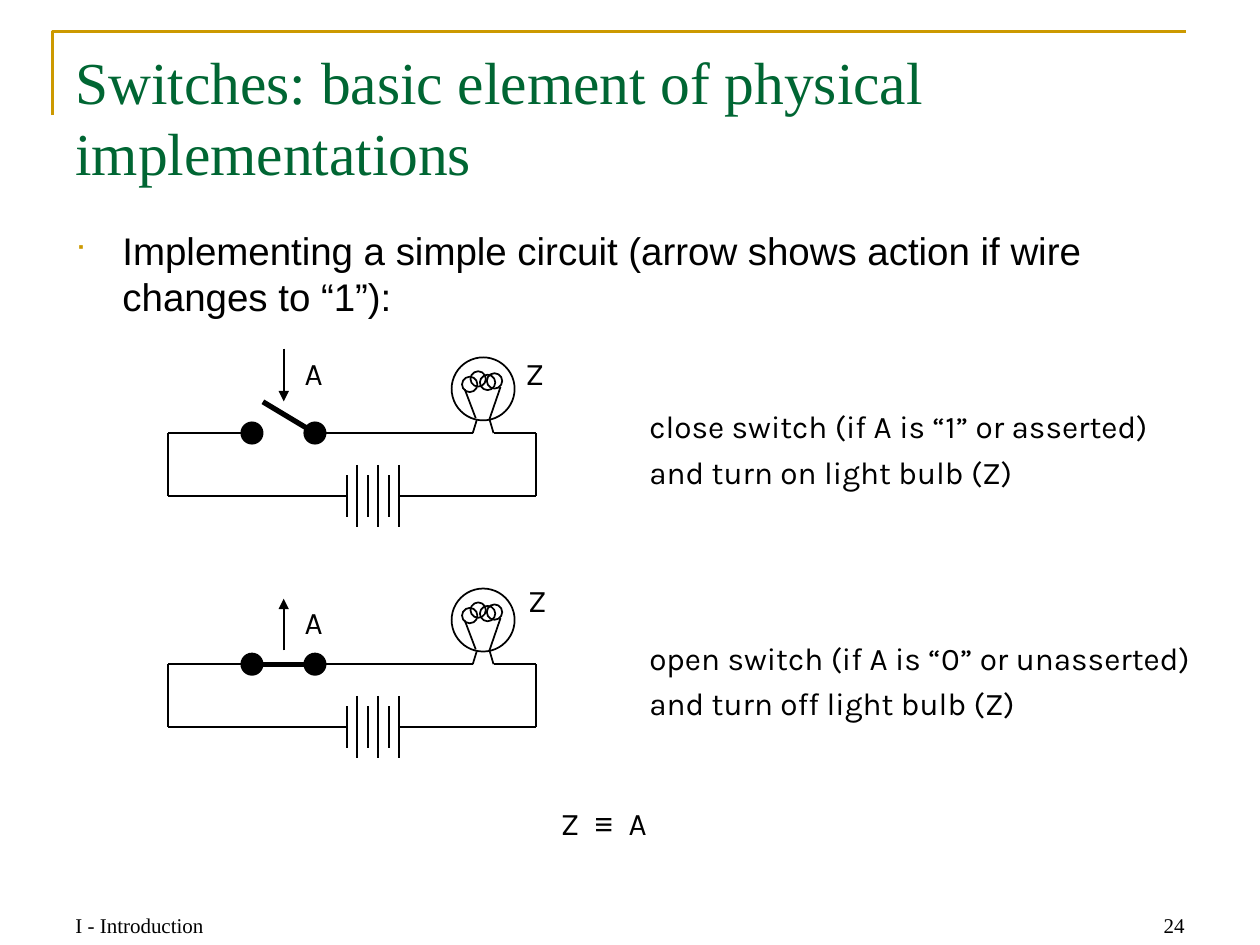
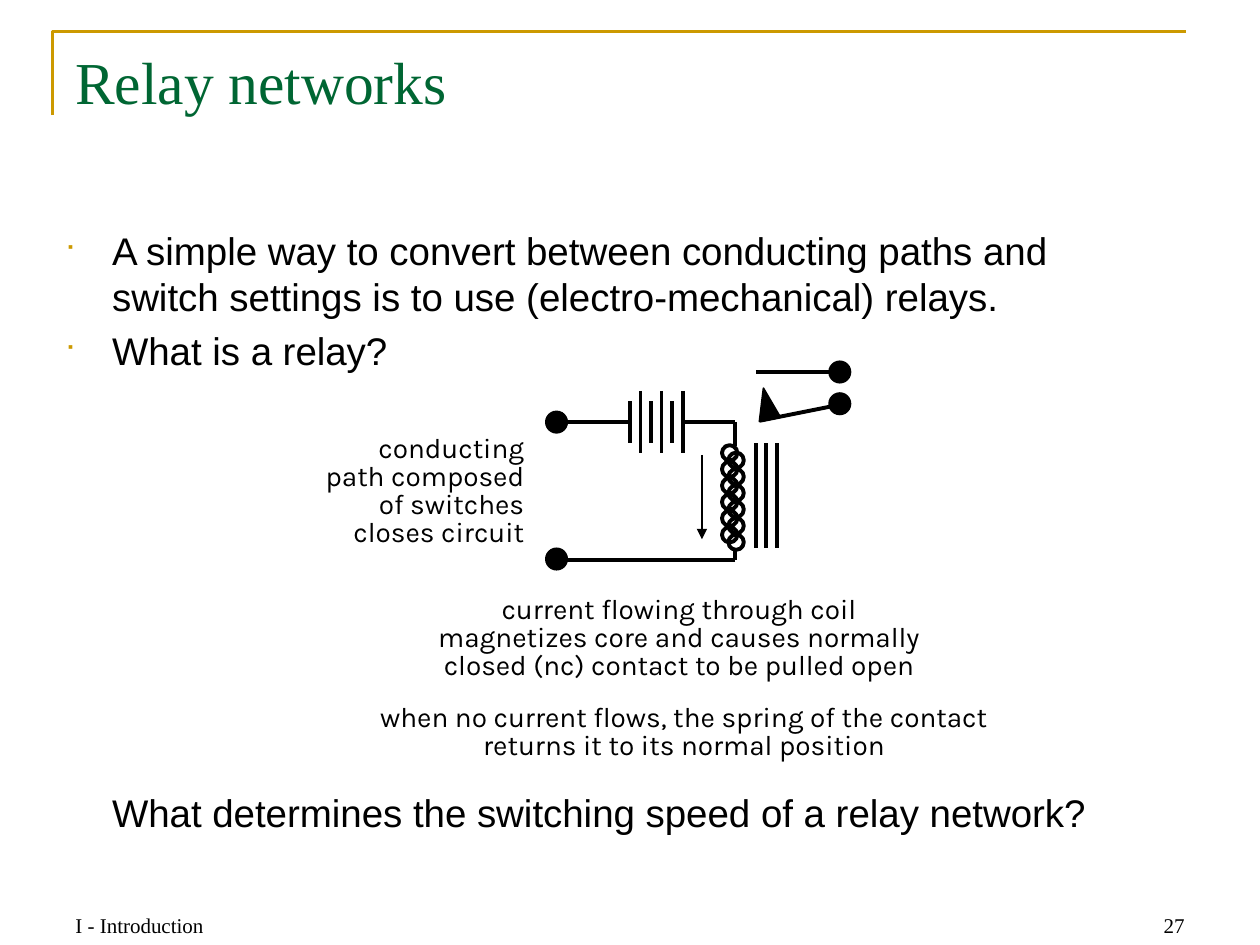
"""Build two lecture slides on switches and relay networks."""
from itertools import pairwise

from lxml import etree
from pptx import Presentation
from pptx import util as u
from pptx.dml.color import RGBColor
from pptx.enum import shapes, text
from pptx.oxml.ns import qn

GREEN, GOLD, BLACK, WHITE = "006633", "CC9900", "000000", "FFFFFF"
SERIF, SANS, LABEL = "Times New Roman", "Arial", "Karla"
LEFT, CENTER, RIGHT = text.PP_ALIGN.LEFT, text.PP_ALIGN.CENTER, text.PP_ALIGN.RIGHT
TIGHT = (0.05, 0.08)
NORMAL = (0.25, 0.13)
DOT, RING = 0.43, 0.31
THIN, MEDIUM, THICK = 1, 2.25, 3

FOOTER = "I - Introduction"
SWITCH_TITLE = "Switches: basic element of physical implementations"
SWITCH_POINTS = [
    ("Implementing a simple circuit (arrow shows action if wire changes to “1”):", True, 0),
]
RELAY_TITLE = "Relay networks"
RELAY_POINTS = [
    ("A simple way to convert between conducting paths and switch settings "
     "is to use (electro-mechanical) relays.", True, 0),
    ("What is a relay?", True, 4.4),
    ("What determines the switching speed of a relay network?", False, 237.5),
]

CIRCUITS = [
    {"top": 8.73, "lever": (1.91, -0.63), "arrow": [(2.33, -1.7), (2.33, -0.64)],
     "A": (6.09, 6.91), "Z": (10.54, 6.91), "note": (13.04, 7.98),
     "words": "close switch (if A is “1” or asserted)\nand turn on light bulb (Z)"},
    {"top": 13.39, "lever": (1.69, 0), "arrow": [(2.33, -0.28), (2.33, -1.32)],
     "A": (6.09, 11.92), "Z": (10.59, 11.48), "note": (13.04, 12.64),
     "words": "open switch (if A is “0” or unasserted)\nand turn off light bulb (Z)"},
]
CIRCUIT_LEFT = 3.39
CIRCUIT_WIRES = [
    [(1.69, 0), (0, 0), (0, 1.27), (3.6, 1.27)],
    [(4.66, 1.27), (7.41, 1.27), (7.41, 0), (6.56, 0), (6.48, -0.27)],
    [(2.96, 0), (5.3, 0), (6.14, 0), (6.22, -0.26)],
]
BULB_LEGS = [[(5.98, -0.88), (6.2, -0.3)], [(6.7, -0.93), (6.47, -0.26)]]
FILAMENT = [(6.08, -0.98), (6.44, -1.02), (6.58, -1.05), (6.25, -1.09)]
SWITCH_DOTS = [(1.69, 0), (2.96, 0)]

RELAY_WIRES = [
    [(11.23, 8.51), (12.7, 8.51)],
    [(13.76, 8.51), (14.82, 8.51), (14.82, 9)],
    [(14.82, 11.05), (14.82, 11.28), (11.23, 11.28)],
    [(15.24, 7.49), (16.92, 7.49)],
    [(15.32, 8.48), (16.97, 8.15)],
]
RELAY_DOTS = [(11.22, 8.51), (11.22, 11.27), (16.93, 7.5), (16.93, 8.14)]
COIL_STARTS = [(14.71, 9.13), (14.84, 9.28)]
RELAY_NOTES = [
    ((6.22, 8.71, 4.4, 2.57), RIGHT,
     "conducting\npath composed\nof switches\ncloses circuit"),
    ((8.69, 11.96, 10, 2.03), CENTER,
     "current flowing through coil\nmagnetizes core and causes normally\n"
     "closed (nc) contact to be pulled open"),
    ((7.49, 14.13, 12.6, 1.52), CENTER,
     "when no current flows, the spring of the contact\nreturns it to its normal position"),
]


def color(value):
    return RGBColor.from_string(value)


def write(para, words, size=18, font=LABEL, ink=BLACK, align=LEFT, leading=None, before=0, spread=0):
    para.alignment = align
    if leading:
        para.line_spacing = u.Pt(leading)
    if before:
        para.space_before = u.Pt(before)
    for number, line in enumerate(words.split("\n")):
        if number:
            para.add_line_break()
        span = para.add_run()
        span.text = line
        span.font.size, span.font.name = u.Pt(size), font
        span.font.color.rgb = color(ink)
        if spread:
            span.font._element.set("spc", str(spread))


def add_frame(slide, place, inset=NORMAL, wrap=True, anchor=text.MSO_ANCHOR.TOP):
    frame = slide.shapes.add_textbox(*map(u.Cm, place)).text_frame
    frame.word_wrap, frame.vertical_anchor = wrap, anchor
    frame.margin_left = frame.margin_right = u.Cm(inset[0])
    frame.margin_top = frame.margin_bottom = u.Cm(inset[1])
    return frame


def add_label(slide, place, words, **style):
    write(add_frame(slide, place, TIGHT, False).paragraphs[0], words, **style)


def add_body(slide, place, points):
    frame = add_frame(slide, place)
    for number, (words, bullet, before) in enumerate(points):
        para = frame.add_paragraph() if number else frame.paragraphs[0]
        props = para._p.get_or_add_pPr()
        props.set("marL", str(u.Cm(0.95)))
        if bullet:
            props.set("indent", str(u.Cm(-0.95)))
            tint = etree.SubElement(props, qn("a:buClr"))
            etree.SubElement(tint, qn("a:srgbClr"), val=GOLD)
            etree.SubElement(props, qn("a:buSzPct"), val="65000")
            etree.SubElement(props, qn("a:buFont"), typeface="Wingdings")
            etree.SubElement(props, qn("a:buChar"), char="■")
        write(para, words, size=22, font=SANS, before=before)


def add_wire(slide, points, weight=THIN, arrow=False, origin=(0, 0)):
    spots = [(u.Cm(x + origin[0]), u.Cm(y + origin[1])) for x, y in points]
    for start, end in pairwise(spots):
        line = slide.shapes.add_connector(shapes.MSO_CONNECTOR.STRAIGHT, *start, *end)
        line.line.color.rgb, line.line.width = color(BLACK), u.Pt(weight)
        etree.SubElement(line._element.spPr, qn("a:effectLst"))
        if arrow:
            etree.SubElement(line.line._get_or_add_ln(), qn("a:tailEnd"), type="triangle")


def add_figure(slide, kind, place, fill=None, weight=THIN):
    shape = slide.shapes.add_shape(kind, *map(u.Cm, place))
    shape.shadow.inherit = False
    shape.line.color.rgb, shape.line.width = color(BLACK), u.Pt(weight)
    if fill:
        shape.fill.solid()
        shape.fill.fore_color.rgb = color(fill)
    else:
        shape.fill.background()
    return shape


def add_circle(slide, center, size, fill=None, weight=THIN, origin=(0, 0)):
    left, top = (c + o - size / 2 for c, o in zip(center, origin))
    add_figure(slide, shapes.MSO_SHAPE.OVAL, (left, top, size, size), fill, weight)


def add_battery(slide, left, middle, weight=THIN):
    for plate in range(6):
        x = left + plate * 1.06 / 5
        half = 0.63 if plate % 2 else 0.42
        add_wire(slide, [(x, middle - half), (x, middle + half)], weight)


def add_page(deck, title, number):
    slide = deck.slides.add_slide(deck.slide_layouts[6])
    builder = slide.shapes.build_freeform(u.Cm(1.06), u.Cm(2.32))
    builder.add_line_segments([(u.Cm(1.06), u.Cm(0.63)), (u.Cm(23.91), u.Cm(0.63))], close=False)
    corner = builder.convert_to_shape()
    corner.shadow.inherit = False
    corner.fill.background()
    corner.line.color.rgb, corner.line.width = color(GOLD), u.Pt(1.5)
    heading = add_frame(slide, (1.27, 0.78, 22.86, 3.18))
    write(heading.paragraphs[0], title, size=34, font=SERIF, ink=GREEN)
    for left, words, align in ((1.27, FOOTER, LEFT), (18.21, str(number), RIGHT)):
        footer = add_frame(slide, (left, 17.77, 5.92, 1.27), anchor=text.MSO_ANCHOR.BOTTOM)
        write(footer.paragraphs[0], words, size=12, font=SERIF, align=align)
    return slide


def add_circuit(slide, circuit):
    origin = (CIRCUIT_LEFT, circuit["top"])
    add_circle(slide, (6.35, -0.89), 1.27, WHITE, origin=origin)
    for center in FILAMENT:
        add_circle(slide, center, RING, origin=origin)
    for points in CIRCUIT_WIRES + BULB_LEGS:
        add_wire(slide, points, origin=origin)
    add_wire(slide, [SWITCH_DOTS[1], circuit["lever"]], THICK, origin=origin)
    for center in SWITCH_DOTS:
        add_circle(slide, center, DOT, BLACK, origin=origin)
    add_battery(slide, origin[0] + 3.6, origin[1] + 1.27)
    add_wire(slide, circuit["arrow"], arrow=True, origin=origin)
    for name in "AZ":
        add_label(slide, (*circuit[name], 1.52, 1.24), name, leading=26)
    add_label(slide, (*circuit["note"], 11.3, 2.84), circuit["words"], leading=26)


def add_switches(deck):
    slide = add_page(deck, SWITCH_TITLE, 24)
    add_body(slide, (1.27, 4.45, 22.86, 12.57), SWITCH_POINTS)
    for circuit in CIRCUITS:
        add_circuit(slide, circuit)
    para = add_frame(slide, (10.9, 15.93, 2.39, 1.17), wrap=False).paragraphs[0]
    for words, font, spread in (("Z ", LABEL, 225), ("≡ ", SANS, 200), ("A", LABEL, 0)):
        write(para, words, font=font, spread=spread, align=RIGHT, leading=26)


def add_relay(deck):
    slide = add_page(deck, RELAY_TITLE, 27)
    add_body(slide, (1.06, 4.45, 22.63, 13.13), RELAY_POINTS)
    for place, align, words in RELAY_NOTES:
        add_label(slide, place, words, size=16, align=align, leading=16)
    for x, y in COIL_STARTS:
        for turn in range(6):
            add_circle(slide, (x, y + turn * 0.33), RING, weight=MEDIUM)
    add_battery(slide, 12.7, 8.51, MEDIUM)
    for points in RELAY_WIRES:
        add_wire(slide, points, MEDIUM)
    for bar in range(3):
        x = 15.24 + bar * 0.21
        add_wire(slide, [(x, 8.94), (x, 11.05)], MEDIUM)
    for center in RELAY_DOTS:
        add_circle(slide, center, DOT, BLACK)
    contact = add_figure(slide, shapes.MSO_SHAPE.ISOSCELES_TRIANGLE, (15.24, 7.82, 0.43, 0.64), BLACK)
    contact.rotation = 348.3
    add_wire(slide, [(14.15, 9.17), (14.15, 10.87)], arrow=True)


def main():
    deck = Presentation()
    deck.slide_width, deck.slide_height = u.Cm(25.4), u.Cm(19.05)
    add_switches(deck)
    add_relay(deck)
    deck.save("out.pptx")


if __name__ == "__main__":
    main()
